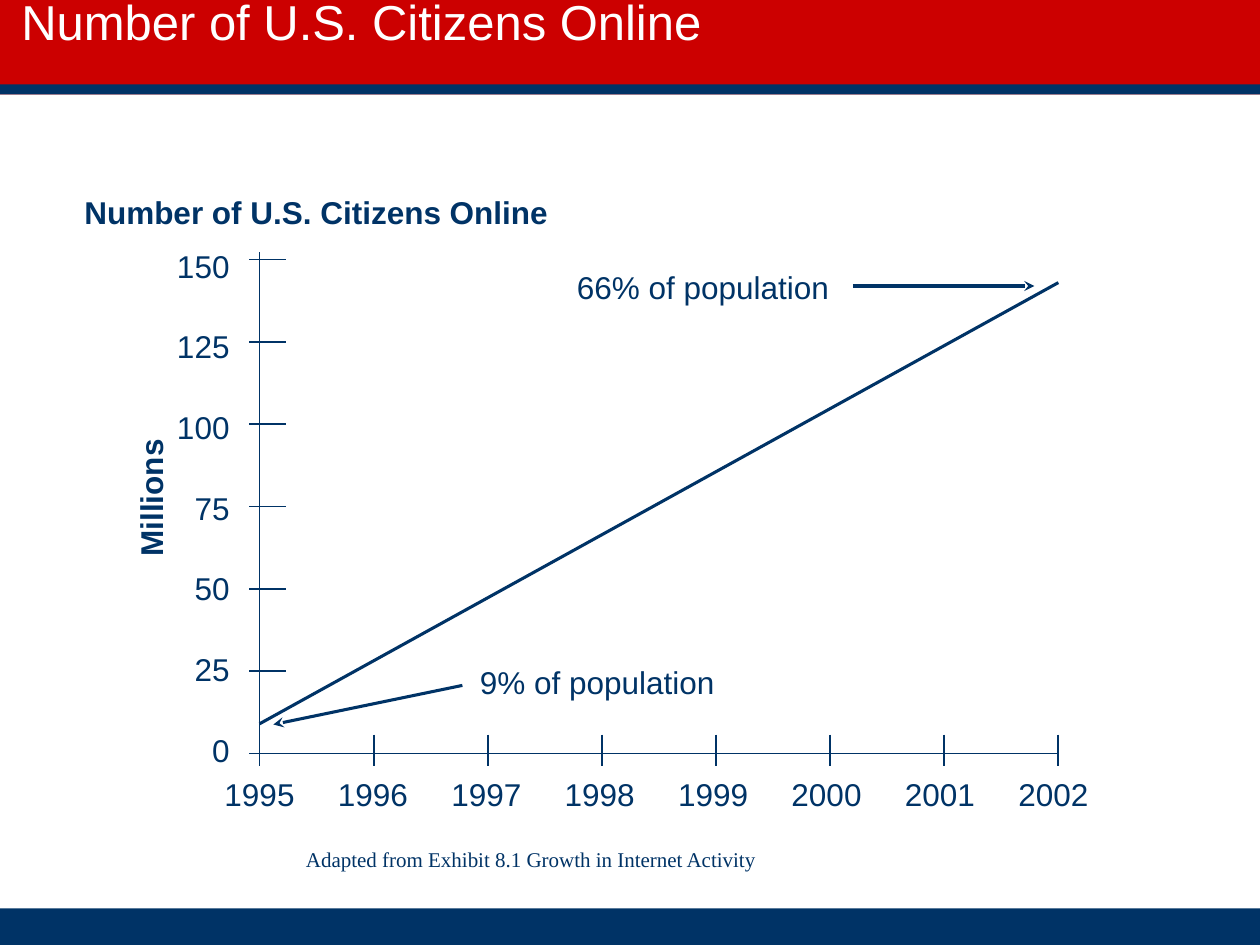
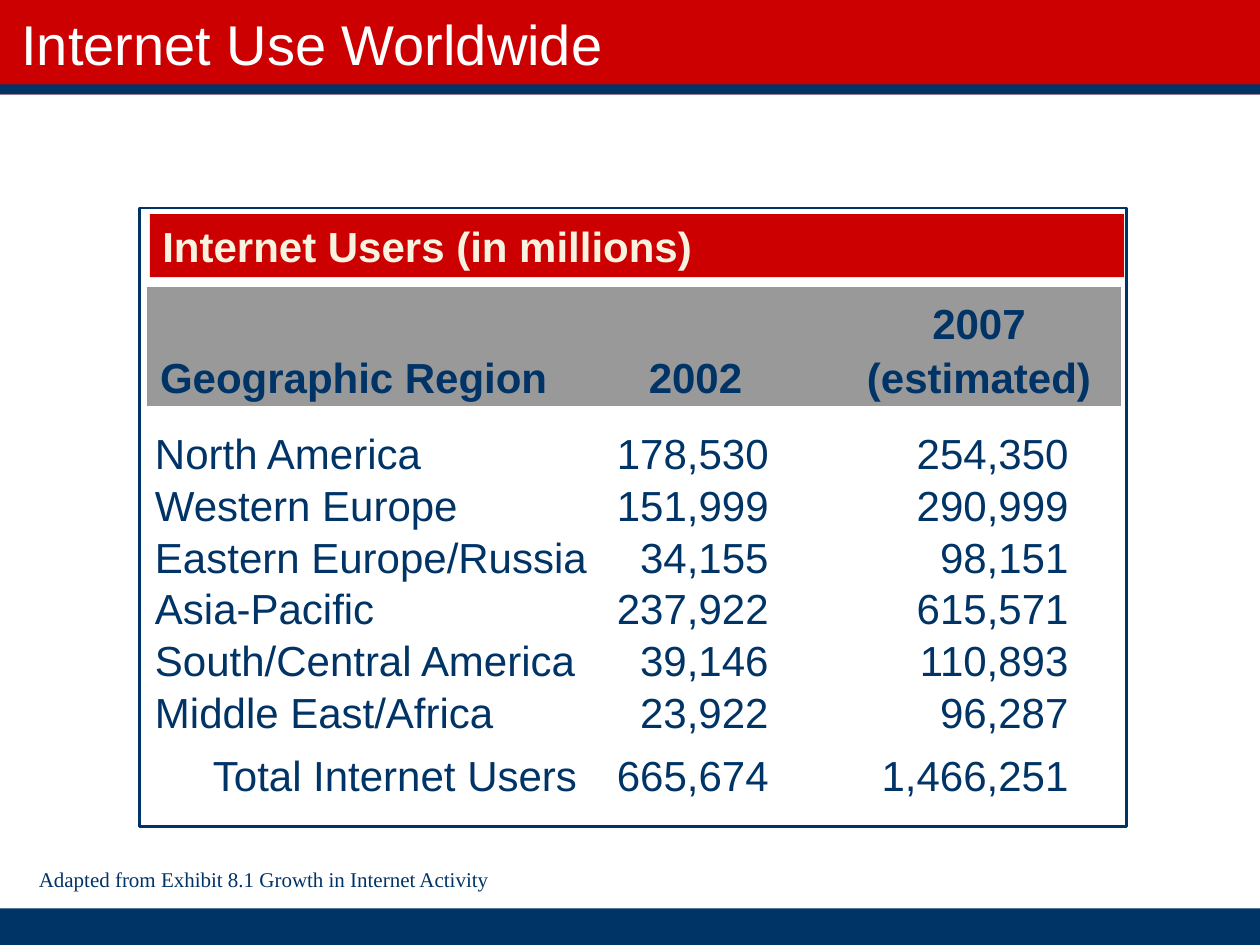
import pptx
import pptx.util
import pptx.dml.color
import pptx.enum.shapes
import pptx.enum.text
import pptx.oxml.ns
from lxml import etree

Inches, Pt = pptx.util.Inches, pptx.util.Pt
ALIGN = pptx.enum.text.PP_ALIGN
ANCHOR = pptx.enum.text.MSO_ANCHOR

COLOURS = {"red": "CC0000", "navy": "003366", "grey": "999999",
           "cream": "F8F3E0", "white": "FFFFFF"}
SANS, SERIF = "Arial", "Times New Roman"
SLIDE_W, SLIDE_H = 10, 7.5
SOURCE_NOTE = "Adapted from Exhibit 8.1 Growth in Internet Activity"
PLAIN_TABLE_STYLE = "{2D5ABB26-0587-4C30-8999-92F81FD0307C}"

# Plot area of the line graph
PLOT_LEFT, PLOT_RIGHT, PLOT_TOP, PLOT_BOTTOM = 2.06, 8.4, 2.06, 5.98
YEARS = range(1995, 2003)
MILLIONS = range(0, 151, 25)

# Table of internet users
COLUMN_WIDTHS = [3.58, 1.54, 2.61]
COLUMN_RIGHT_GAPS = [0, 0.19, 0.42]
HEADINGS = ["Geographic Region", "2002", "2007\n(estimated)"]
REGIONS = [
    ("North America", "178,530", "254,350"),
    ("Western Europe", "151,999", "290,999"),
    ("Eastern Europe/Russia", "34,155", "98,151"),
    ("Asia-Pacific", "237,922", "615,571"),
    ("South/Central America", "39,146", "110,893"),
    ("Middle East/Africa", "23,922", "96,287"),
    ("Total Internet Users", "665,674", "1,466,251"),
]
ROW_HEIGHTS = [0.94, 0.58] + [0.41] * 5 + [0.5]


def rgb(name):
    return pptx.dml.color.RGBColor.from_string(COLOURS[name])


def style_text(frame, size, colour="navy", bold=False, align=ALIGN.LEFT, font=SANS):
    for paragraph in frame.paragraphs:
        paragraph.alignment = align
        paragraph.font.name = font
        paragraph.font.size = Pt(size)
        paragraph.font.bold = bold
        paragraph.font.color.rgb = rgb(colour)


def add_label(slide, text, left, top, width, size=18, height=0.4, **style):
    label = slide.shapes.add_textbox(*map(Inches, (left, top, width, height)))
    label.text_frame.text = text
    label.text_frame.word_wrap = False
    style_text(label.text_frame, size, **style)
    return label


def add_box(slide, left, top, width, height, fill=None, outline=None):
    box = slide.shapes.add_shape(pptx.enum.shapes.MSO_SHAPE.RECTANGLE,
                                 *map(Inches, (left, top, width, height)))
    box.shadow.inherit = False
    if fill:
        box.fill.solid()
        box.fill.fore_color.rgb = rgb(fill)
    else:
        box.fill.background()
    if outline:
        box.line.color.rgb = rgb(outline)
        box.line.width = Pt(1.5)
    else:
        box.line.fill.background()
    return box


def add_line(slide, start, end, width=1.0, arrow=False):
    line = slide.shapes.add_connector(pptx.enum.shapes.MSO_CONNECTOR.STRAIGHT,
                                      *map(Inches, (*start, *end)))
    line.line.color.rgb = rgb("navy")
    line.line.width = Pt(width)
    if arrow:
        etree.SubElement(line.line._get_or_add_ln(),
                         pptx.oxml.ns.qn("a:tailEnd"), type="stealth")
    etree.SubElement(line._element.spPr, pptx.oxml.ns.qn("a:effectLst"))


def add_titled_slide(deck, title, size, title_height):
    slide = deck.slides.add_slide(deck.slide_layouts[6])
    # Title band, its navy rule and the footer band
    add_box(slide, 0, 0, SLIDE_W, 0.1 * SLIDE_H, "red")
    add_box(slide, 0, 7.21, SLIDE_W, SLIDE_H - 7.21, "navy")
    add_box(slide, 0, 0.67, SLIDE_W, 0.08, "navy")
    heading = add_label(slide, title, 0.17, 0.05, 9.67, size, title_height,
                        colour="white")
    frame = heading.text_frame
    frame.word_wrap = True
    frame.vertical_anchor = ANCHOR.MIDDLE
    frame.margin_left = frame.margin_right = frame.margin_top = frame.margin_bottom = 0
    return slide


def add_source_note(slide, left, top):
    add_label(slide, SOURCE_NOTE, left, top, 3.79, 12, 0.3, font=SERIF)


def year_x(year):
    return PLOT_LEFT + (PLOT_RIGHT - PLOT_LEFT) * (year - YEARS[0]) / (len(YEARS) - 1)


def millions_y(value):
    return PLOT_BOTTOM - (PLOT_BOTTOM - PLOT_TOP) * value / MILLIONS[-1]


def add_axes(slide):
    add_line(slide, (PLOT_LEFT, 2), (PLOT_LEFT, PLOT_BOTTOM))
    add_line(slide, (PLOT_LEFT, PLOT_BOTTOM), (PLOT_RIGHT, PLOT_BOTTOM))
    for i, year in enumerate(YEARS):
        x = year_x(year)
        add_line(slide, (x, 5.83), (x, 6.08))
        add_label(slide, str(year), 1.68 + 0.9 * i, 6.1, 0.76, align=ALIGN.CENTER)
    for i, value in enumerate(MILLIONS):
        y = millions_y(value)
        add_line(slide, (1.98, y), (2.27, y))
        add_label(slide, str(value), 1.3, 5.75 - 0.64 * i, 0.62, align=ALIGN.RIGHT)
    axis_title = add_label(slide, "Millions", 0.63, 3.75, 1.13, bold=True)
    axis_title.rotation = 270


def build_growth_slide(deck):
    title = "Number of U.S. Citizens Online"
    slide = add_titled_slide(deck, title, 28, 0.23)
    add_axes(slide)
    # Growth line and the notes at its ends
    add_line(slide, (year_x(1995), millions_y(9)), (year_x(2002), millions_y(143)), 1.75)
    add_label(slide, "9% of population", 3.71, 5.21, 2.06)
    add_line(slide, (3.67, 5.44), (2.17, 5.75), 1.75, arrow=True)
    add_label(slide, "66% of population", 4.48, 2.08, 2.2)
    add_line(slide, (6.77, 2.27), (8.21, 2.27), 1.75, arrow=True)
    add_label(slide, title, 0.57, 1.48, 3.88, bold=True, align=ALIGN.CENTER)
    add_source_note(slide, 2.33, 6.67)


def fill_cell(cell, text, align, left=0.0, right=0.0, bottom=0.0, fill=None, bold=False):
    cell.text = text
    cell.vertical_anchor = ANCHOR.BOTTOM
    cell.margin_left, cell.margin_right = Inches(left), Inches(right)
    cell.margin_top, cell.margin_bottom = 0, Inches(bottom)
    if fill:
        cell.fill.solid()
        cell.fill.fore_color.rgb = rgb(fill)
    else:
        cell.fill.background()
    style_text(cell.text_frame, 24, bold=bold, align=align)


def add_users_table(slide):
    table = slide.shapes.add_table(len(ROW_HEIGHTS), len(COLUMN_WIDTHS),
                                   *map(Inches, (1.17, 2.28, sum(COLUMN_WIDTHS),
                                                 sum(ROW_HEIGHTS)))).table
    table.horz_banding = False
    table._tbl.tblPr.find(pptx.oxml.ns.qn("a:tableStyleId")).text = PLAIN_TABLE_STYLE
    for column, width in zip(table.columns, COLUMN_WIDTHS):
        column.width = Inches(width)
    for row, height in zip(table.rows, ROW_HEIGHTS):
        row.height = Inches(height)

    # Headings
    for c, (heading, left) in enumerate(zip(HEADINGS, (0.1, 0, 0.35))):
        cell = table.cell(0, c)
        fill_cell(cell, heading, ALIGN.CENTER if c else ALIGN.LEFT, left,
                  bottom=0.03, fill="grey", bold=True)
        cell.text_frame.paragraphs[-1].space_before = Pt(4)

    # Regions, with the total indented
    for r, region in enumerate(REGIONS, start=1):
        indent = 0.52 if r == len(REGIONS) else 0.06
        for c, text in enumerate(region):
            fill_cell(table.cell(r, c), text, ALIGN.RIGHT if c else ALIGN.LEFT,
                      0 if c else indent, COLUMN_RIGHT_GAPS[c])


def build_worldwide_slide(deck):
    slide = add_titled_slide(deck, "Internet Use Worldwide", 32, 0.58)
    banner = add_box(slide, 1.19, 1.7, sum(COLUMN_WIDTHS), 0.5, "red")
    banner.text_frame.text = "Internet Users (in millions)"
    banner.text_frame.vertical_anchor = ANCHOR.MIDDLE
    style_text(banner.text_frame, 24, "cream", bold=True)
    add_box(slide, 1.11, 1.65, 7.83, 4.91, outline="navy")
    add_users_table(slide)
    add_source_note(slide, 0.21, 6.83)


def main():
    deck = pptx.Presentation()
    deck.slide_width, deck.slide_height = Inches(SLIDE_W), Inches(SLIDE_H)
    build_growth_slide(deck)
    build_worldwide_slide(deck)
    deck.save("out.pptx")


if __name__ == "__main__":
    main()
